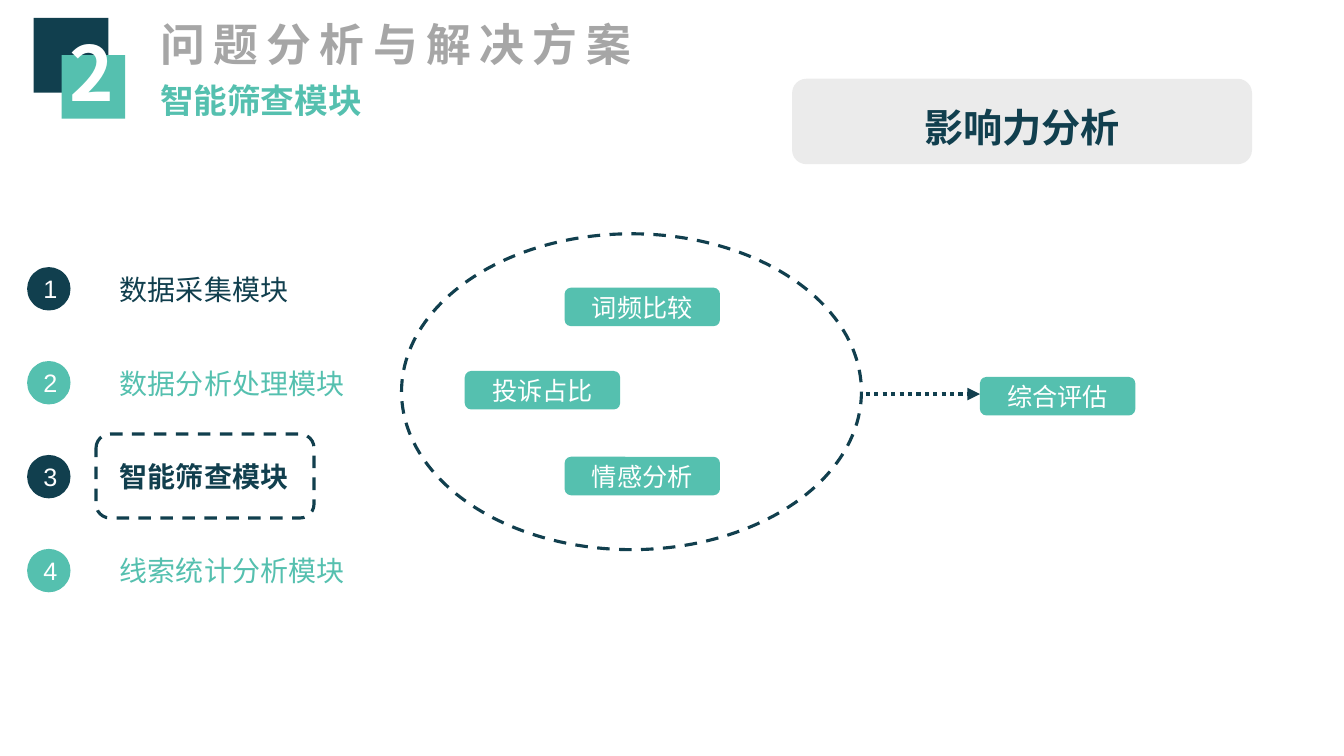
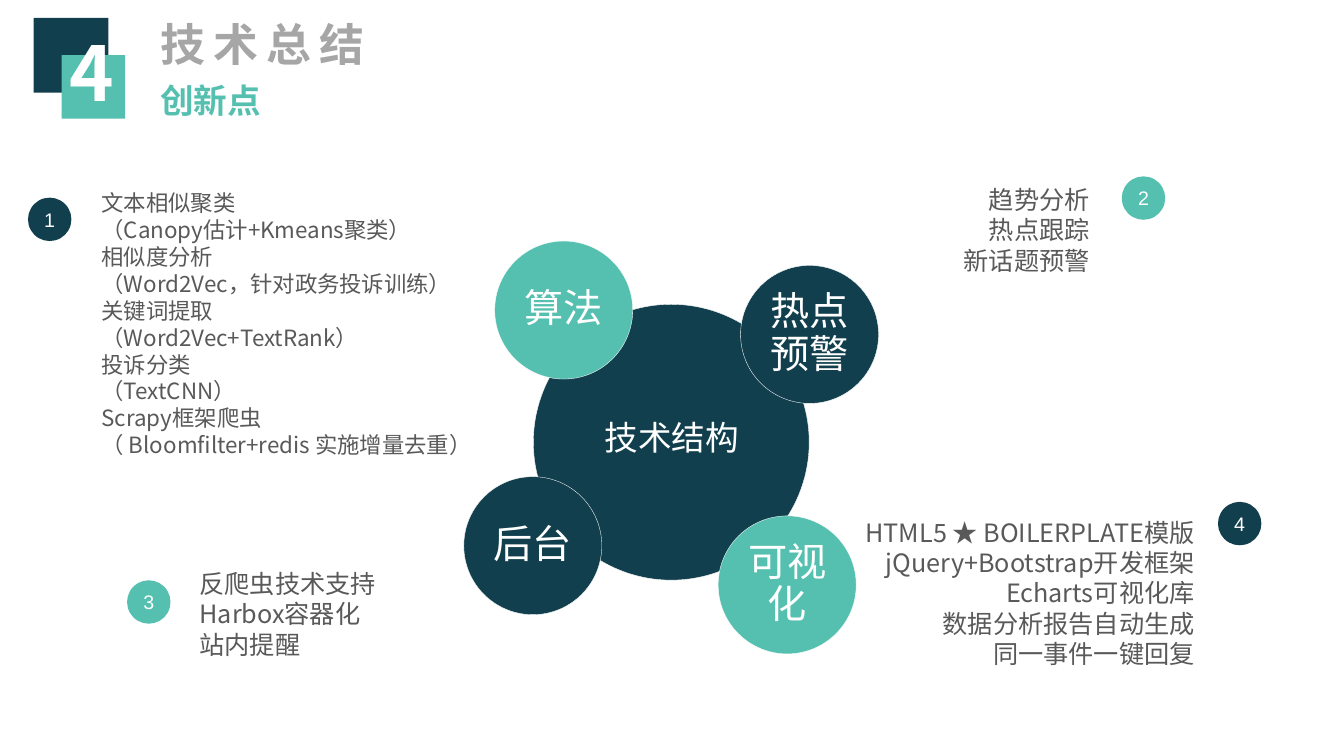
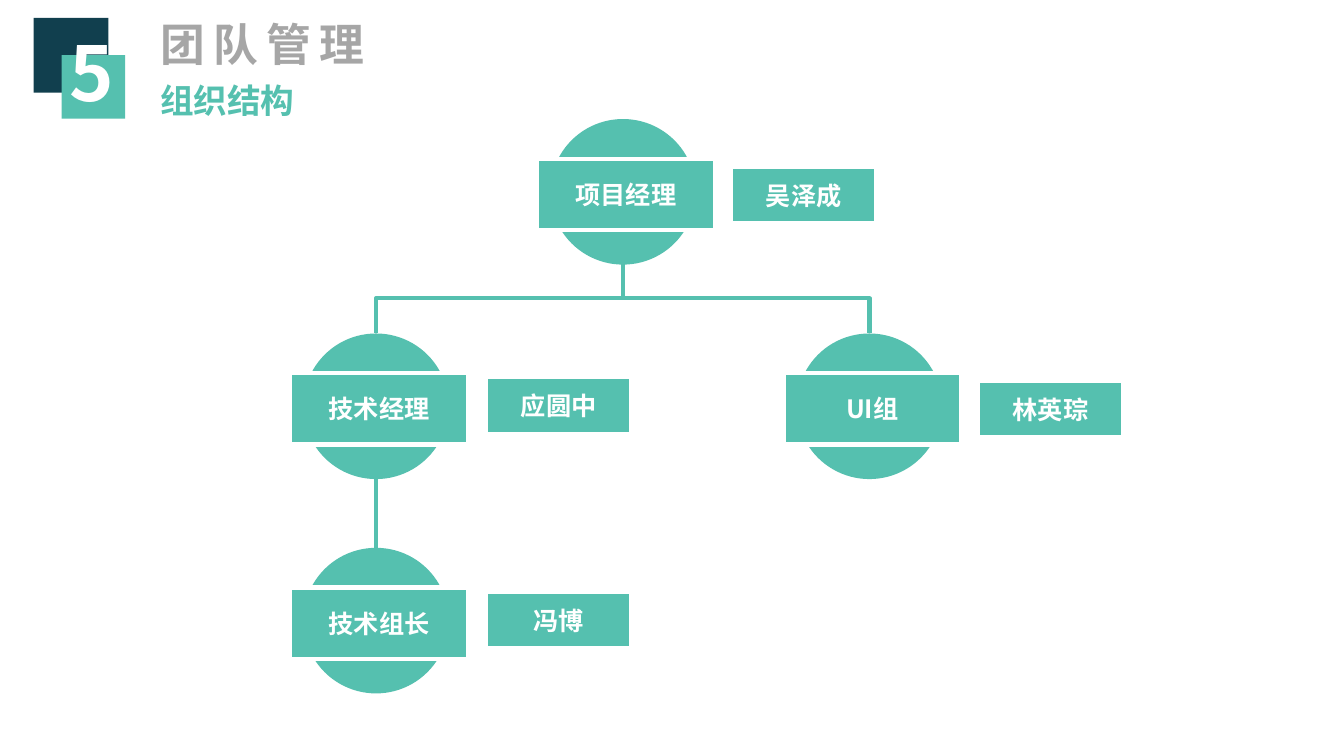
"""Build three slides on screening, technology and team structure."""
import dataclasses

import lxml.etree
import pptx
import pptx.dml.color
import pptx.enum.dml
import pptx.enum.shapes
import pptx.enum.text
import pptx.oxml.ns
import pptx.util

Pt = pptx.util.Pt
Form = pptx.enum.shapes.MSO_SHAPE
Link = pptx.enum.shapes.MSO_CONNECTOR
Dash = pptx.enum.dml.MSO_LINE
Align = pptx.enum.text.PP_ALIGN
Anchor = pptx.enum.text.MSO_ANCHOR
qn = pptx.oxml.ns.qn
rgb = pptx.dml.color.RGBColor.from_string


@dataclasses.dataclass(frozen=True)
class Theme:
    navy = rgb("113F4E")
    mint = rgb("55C0AF")
    white = rgb("FFFFFF")
    gray = rgb("A6A6A6")
    pale = rgb("D9D9D9")
    ink = rgb("595959")
    sans = "Noto Sans CJK SC"
    arial = "Arial"
    latin = "Open Sans"
    badge = 54
    title = 32
    head = 28
    sub = 24
    item = 20
    body = 18
    note = 16
    tiny = 14


class Deck:
    def __init__(self, theme):
        self.theme = theme
        self.file = pptx.Presentation()
        self.file.slide_width, self.file.slide_height = Pt(960), Pt(540)

    def fill_in(self, shape, text, size, color, bold=False, align=Align.LEFT,
                font=None, anchor=Anchor.TOP, space=None, gap=None):
        frame = shape.text_frame
        frame.word_wrap = True
        frame.auto_size = pptx.enum.text.MSO_AUTO_SIZE.NONE
        frame.vertical_anchor = anchor
        frame.text = text
        for para in frame.paragraphs:
            para.alignment = align
            if space:
                para.line_spacing = space
            face = para.font
            face.size, face.bold = Pt(size), bold
            face.color.rgb = color
            face.name = font or self.theme.sans
            lxml.etree.SubElement(face._element, qn("a:ea"), typeface=self.theme.sans)
            if gap:
                face._element.set("spc", str(gap * 100))
        return frame

    def label(self, text, x, y, w, h, size, color, **style):
        box = self.slide.shapes.add_textbox(Pt(x), Pt(y), Pt(w), Pt(h))
        return self.fill_in(box, text, size, color, **style)

    def shape(self, form, x, y, w, h, fill=None, line=None, width=1, dash=None, alpha=None):
        item = self.slide.shapes.add_shape(form, Pt(x), Pt(y), Pt(w), Pt(h))
        item.shadow.inherit = False
        if fill is None:
            item.fill.background()
        else:
            item.fill.solid()
            item.fill.fore_color.rgb = fill
        if alpha:
            tone = item._element.spPr.find(".//" + qn("a:srgbClr"))
            lxml.etree.SubElement(tone, qn("a:alpha"), val=str(alpha * 1000))
        if line is None:
            item.line.fill.background()
        else:
            item.line.color.rgb = line
            item.line.width = Pt(width)
            item.line.dash_style = dash
        return item

    def block(self, form, text, x, y, w, h, fill, size=None, line=None, width=1, **style):
        item = self.shape(form, x, y, w, h, fill, line, width)
        style = {"align": Align.CENTER, "anchor": Anchor.MIDDLE, **style}
        return self.fill_in(item, text, size or self.theme.body, self.theme.white, **style)

    def link(self, x1, y1, x2, y2, color, kind=Link.STRAIGHT, dash=None, arrow=False):
        line = self.slide.shapes.add_connector(kind, Pt(x1), Pt(y1), Pt(x2), Pt(y2))
        line.line.color.rgb = color
        line.line.width = Pt(3)
        line.line.dash_style = dash
        props = line._element.spPr
        if arrow:
            lxml.etree.SubElement(props.find(qn("a:ln")), qn("a:tailEnd"), type="triangle")
        lxml.etree.SubElement(props, qn("a:effectLst"))
        return line

    def branch(self, x1, y1, x2, y2):
        side = 1 if x2 > x1 else -1
        mid, level = (x1 + x2) / 2, (y1 + y2) / 2
        rise, run = side * (y2 - y1) / 2, abs(x2 - x1) / 2
        line = self.link(mid + rise, level - run, mid - rise, level + run,
                         self.theme.mint, Link.ELBOW)
        turn = 180 + side * 90
        line._element.spPr.find(qn("a:xfrm")).set("rot", str(turn * 60000))

    def page(self, number, title, sub):
        look = self.theme
        self.slide = self.file.slides.add_slide(self.file.slide_layouts[5])
        self.shape(Form.RECTANGLE, 24, 12.8, 53.4, 53.4, look.navy)
        self.shape(Form.RECTANGLE, 44, 39.4, 45.4, 45.4, look.mint)
        digit = self.label(number, 42.5, 15.1, 48.2, 72.7, look.badge, look.white, bold=True)
        digit.word_wrap = False
        head = self.slide.shapes.title
        head.left, head.top, head.width, head.height = Pt(107.3), Pt(8), Pt(373), Pt(46)
        self.fill_in(head, title, look.title, look.gray, bold=True, gap=6)
        self.label(sub, 107.3, 53.3, 322, 36, look.sub, look.mint, bold=True)

    def dot(self, text, x, y, size, fill):
        self.block(Form.OVAL, text, x, y, 31, 31, fill, size, font=self.theme.arial)

    def tag(self, text, x, y):
        self.block(Form.ROUNDED_RECTANGLE, text, x, y, 111, 27.5, self.theme.mint)

    def bubble(self, text, x, y, fill):
        frame = self.block(Form.OVAL, text, x, y, 98.6, 98.6, fill, self.theme.head,
                           self.theme.white, 0.25, space=0.9)
        frame.margin_left = frame.margin_right = Pt(2.8)
        frame.margin_top = frame.margin_bottom = Pt(2.8)

    def name(self, text, x, y):
        self.block(Form.RECTANGLE, text, x, y, 103.7, 40.5, self.theme.mint,
                   line=self.theme.white, width=3, bold=True)

    def node(self, text, mid, y):
        self.shape(Form.OVAL, mid - 52, y, 104, 104, self.theme.mint)
        self.block(Form.RECTANGLE, text, mid - 61.2, y + 28.3, 126.7, 51, self.theme.mint,
                   line=self.theme.white, width=3, bold=True)


def screen(deck):
    look = deck.theme
    deck.page("2", "问题分析与解决方案", "智能筛查模块")
    parts = ["数据采集模块", "数据分析处理模块", "智能筛查模块", "线索统计分析模块"]
    for rank, part in enumerate(parts):
        y = 190.8 + rank * 67.1
        color = (look.navy, look.mint)[rank % 2]
        deck.dot(str(rank + 1), 19.4, y, look.body, color)
        deck.label(part, 78.6, y, 235, 31.5, look.item, color, bold=rank == 2)
    deck.shape(Form.ROUNDED_RECTANGLE, 68.6, 310, 155.7, 60, None, look.navy, 2.25, Dash.DASH)
    for text, x, y in [("词频比较", 403.3, 205.5), ("投诉占比", 332, 265),
                       ("情感分析", 403.3, 326.3), ("综合评估", 700, 269.3)]:
        deck.tag(text, x, y)
    deck.shape(Form.OVAL, 286.8, 167, 328.5, 225.6, None, look.navy, 2.25, Dash.DASH)
    deck.link(618.5, 281.5, 700, 281.5, look.navy, dash=Dash.ROUND_DOT, arrow=True)
    deck.shape(Form.ROUNDED_RECTANGLE, 565.8, 56.3, 328.5, 61, look.pale, alpha=50)
    deck.label("影响力分析", 611, 70.5, 238, 40, look.head, look.navy, bold=True,
               align=Align.CENTER)


def tech(deck):
    look = deck.theme
    deck.page("4", "技术总结", "创新点")
    deck.shape(Form.OVAL, 381, 217.4, 197, 197, look.navy, look.white, 0.25)
    for text, x, y, fill in [("后台", 331.3, 340.5, look.navy), ("可视化", 513, 368.5, look.mint),
                             ("热点预警", 529, 189.6, look.navy), ("算法", 353.4, 172.2, look.mint)]:
        deck.bubble(text, x, y, fill)
    deck.block(Form.RECTANGLE, "技术结构", 402.3, 294.5, 155, 36, look.navy, look.sub,
               font=look.latin)
    for text, x, y, fill in [("1", 20, 141.2, look.navy), ("2", 801.3, 126, look.mint),
                             ("3", 90.8, 414.5, look.mint), ("4", 870, 358.5, look.navy)]:
        deck.dot(text, x, y, look.tiny, fill)
    skills = ["文本相似聚类", "（Canopy估计+Kmeans聚类）", "相似度分析",
              "（Word2Vec，针对政务投诉训练）", "关键词提取", "（Word2Vec+TextRank）",
              "投诉分类", "（TextCNN）", "Scrapy框架爬虫",
              "（ Bloomfilter+redis 实施增量去重）"]
    trends = ["趋势分析", "热点跟踪", "新话题预警"]
    server = ["反爬虫技术支持", "Harbox容器化", "站内提醒"]
    views = ["HTML5 ★ BOILERPLATE模版", "jQuery+Bootstrap开发框架", "Echarts可视化库",
             "数据分析报告自动生成", "同一事件一键回复"]
    for lines, x, y, w, h, size, align in [
            (skills, 65.5, 131.8, 279.4, 201, look.note, Align.LEFT),
            (trends, 546.5, 128.2, 239, 72.7, look.body, Align.RIGHT),
            (server, 135.4, 402.5, 239, 72.7, look.body, Align.LEFT),
            (views, 602.6, 365.8, 257.8, 116.6, look.body, Align.RIGHT)]:
        deck.label("\n".join(lines), x, y, w, h, size, look.ink, align=align)


def team(deck):
    deck.page("5", "团队管理", "组织结构")
    left, mid, right = 268.6, 445, 621
    top, row, low = 85, 238.2, 391.3
    for x in (left, right):
        deck.branch(mid, top + 103, x, row)
    for text, x, y in [("项目经理", mid, top), ("UI组", right, row),
                       ("技术经理", left, row), ("技术组长", left, low)]:
        deck.node(text, x, y)
    deck.link(left, row + 103, left, low, deck.theme.mint)
    for text, x, y in [("吴泽成", 522.3, 119.2), ("应圆中", 347.2, 269.3),
                       ("冯博", 347.2, 422.6), ("林英琮", 698.5, 272)]:
        deck.name(text, x, y)


def main():
    deck = Deck(Theme())
    for build in (screen, tech, team):
        build(deck)
    deck.file.save("out.pptx")


if __name__ == "__main__":
    main()
